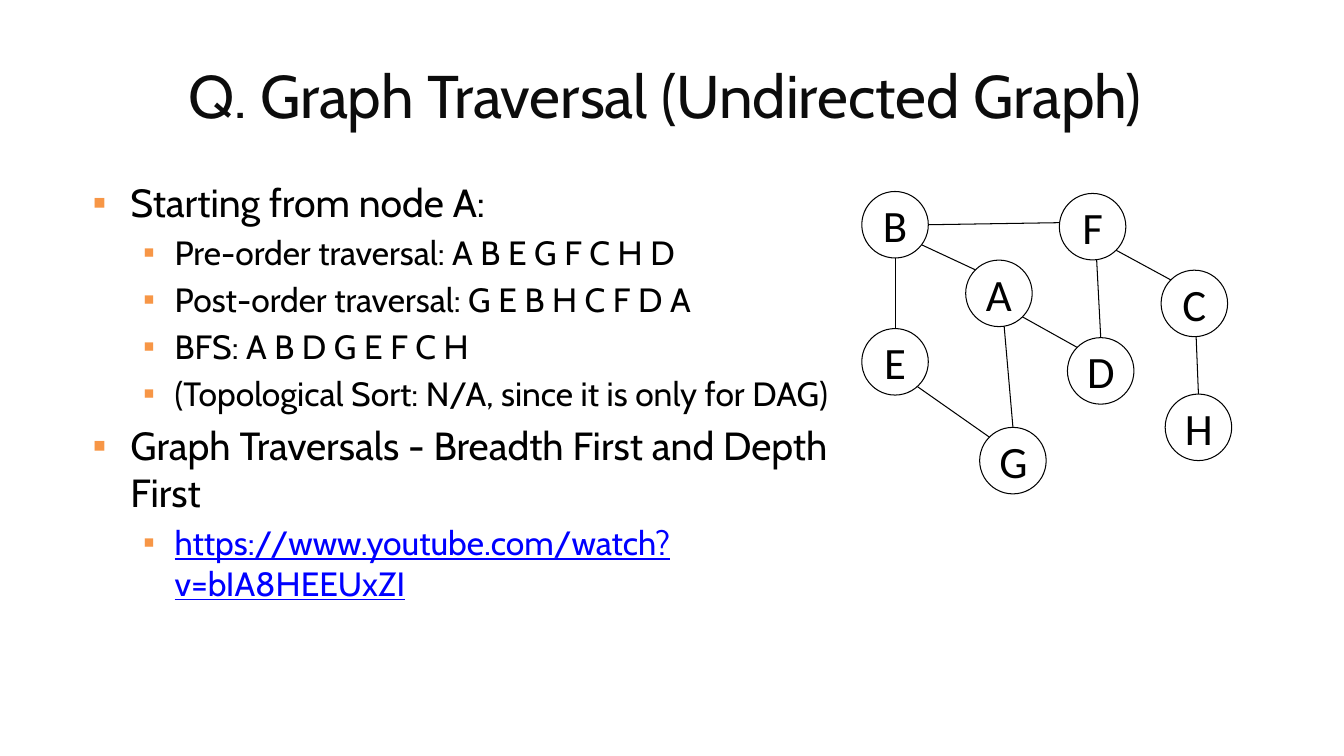
from dataclasses import dataclass
from math import cos, radians, sin

from lxml.etree import SubElement
from pptx import Presentation
from pptx.dml.color import RGBColor
from pptx.enum.shapes import MSO_CONNECTOR as Connector, MSO_SHAPE as Shape
from pptx.enum.text import MSO_ANCHOR as Anchor, MSO_AUTO_SIZE as AutoSize, PP_ALIGN as Align
from pptx.oxml.ns import qn
from pptx.util import Pt


@dataclass(frozen=True)
class Theme:
    text_font: str = "Cabin"
    node_font: str = "Calibri"
    title_color: str = "0C0C0C"
    ink: str = "000000"
    paper: str = "FFFFFF"
    bullet: str = "F79646"
    link: str = "0000FF"
    title_size: float = 43
    level_sizes: tuple = (28, 24)
    node_size: float = 32
    line_width: float = 0.75


THEME = Theme()
SPACING_RATIO = 0.2
LEVEL_INDENTS = ((27, -27), (58.5, -22.5))
NODE_DIAMETER = 47.5
NODE_INSET = 7.2

TITLE = "Q. Graph Traversal (Undirected Graph) "
LINK = "https://www.youtube.com/watch?v=bIA8HEEUxZI"
BULLETS = (
    (0, "Starting from node A:"),
    (1, "Pre-order traversal: A B E G F C H D"),
    (1, "Post-order traversal: G E B H C F D A"),
    (1, "BFS: A B D G E F C H"),
    (1, "(Topological Sort: N/A, since it is only for DAG)"),
    (0, "Graph Traversals - Breadth First and Depth First"),
    (1, LINK),
)
NODES = {
    "A": (689.8, 185.8),
    "B": (615.6, 136.8),
    "C": (829.4, 193),
    "D": (762.5, 241.2),
    "E": (615.6, 234.7),
    "F": (756.7, 138.2),
    "G": (699.8, 305.3),
    "H": (832.3, 281.5),
}
EDGES = (
    ("F", 45, "C", 225),
    ("D", 225, "A", 45),
    ("A", 225, "B", 37),
    ("F", 187, "B", 0),
    ("E", 270, "B", 90),
    ("G", 225, "E", 48),
    ("G", 270, "A", 81),
    ("D", 270, "F", 83),
    ("H", 270, "C", 87),
)


def apply(target, values):
    for name, value in values.items():
        setattr(target, name, value)


def place(shape, left, top, width, height):
    apply(shape, {"left": Pt(left), "top": Pt(top), "width": Pt(width), "height": Pt(height)})


def add_run(paragraph, text, font, size, color, underline=False):
    run = paragraph.add_run()
    run.text = text
    apply(run.font, {"name": font, "size": Pt(size), "underline": underline})
    run.font.color.rgb = RGBColor.from_string(color)


def add_bullet(paragraph, level):
    margin, indent = LEVEL_INDENTS[level]
    properties = paragraph._p.get_or_add_pPr()
    properties.set("marL", str(Pt(margin)))
    properties.set("indent", str(Pt(indent)))
    color = SubElement(properties, qn("a:buClr"))
    SubElement(color, qn("a:srgbClr"), val=THEME.bullet)
    SubElement(properties, qn("a:buChar"), char="▪")


def fill_title(shape):
    place(shape, 99.4, 37.4, 761, 60.5)
    apply(shape.text_frame, {
        "auto_size": AutoSize.NONE, "word_wrap": True, "vertical_anchor": Anchor.MIDDLE,
    })
    paragraph = shape.text_frame.paragraphs[0]
    paragraph.alignment = Align.CENTER
    add_run(paragraph, TITLE, THEME.text_font, THEME.title_size, THEME.title_color)


def fill_body(shape):
    place(shape, 59, 123.8, 551.5, 411.8)
    frame = shape.text_frame
    apply(frame, {
        "auto_size": AutoSize.NONE, "word_wrap": True, "vertical_anchor": Anchor.TOP,
    })
    for index, (level, text) in enumerate(BULLETS):
        paragraph = frame.add_paragraph() if index else frame.paragraphs[0]
        size = THEME.level_sizes[level]
        add_bullet(paragraph, level)
        apply(paragraph, {
            "level": level,
            "alignment": Align.LEFT,
            "space_before": Pt(size * SPACING_RATIO if index else 0),
        })
        is_link = text == LINK
        color = THEME.link if is_link else THEME.ink
        add_run(paragraph, text, THEME.text_font, size, color, is_link)


def rim_point(node, angle):
    left, top = NODES[node]
    radius = NODE_DIAMETER / 2
    turn = radians(angle)
    return Pt(left + radius * (1 + cos(turn))), Pt(top + radius * (1 + sin(turn)))


def format_line(line):
    line.color.rgb = RGBColor.from_string(THEME.ink)
    line.width = Pt(THEME.line_width)


def add_edge(slide, start, start_angle, end, end_angle):
    edge = slide.shapes.add_connector(
        Connector.STRAIGHT, *rim_point(start, start_angle), *rim_point(end, end_angle))
    format_line(edge.line)
    SubElement(edge._element.spPr, qn("a:effectLst"))


def add_node(slide, name, left, top):
    node = slide.shapes.add_shape(
        Shape.OVAL, Pt(left), Pt(top), Pt(NODE_DIAMETER), Pt(NODE_DIAMETER))
    node.shadow.inherit = False
    node.fill.solid()
    node.fill.fore_color.rgb = RGBColor.from_string(THEME.paper)
    format_line(node.line)
    sides = ("left", "top", "right", "bottom")
    apply(node.text_frame, {f"margin_{side}": Pt(NODE_INSET) for side in sides})
    apply(node.text_frame, {"word_wrap": True, "vertical_anchor": Anchor.MIDDLE})
    paragraph = node.text_frame.paragraphs[0]
    paragraph.alignment = Align.CENTER
    add_run(paragraph, name, THEME.node_font, THEME.node_size, THEME.ink)


def main():
    presentation = Presentation()
    apply(presentation, {"slide_width": Pt(960), "slide_height": Pt(540)})
    slide = presentation.slides.add_slide(presentation.slide_layouts[1])
    fill_title(slide.shapes.title)
    fill_body(slide.placeholders[1])
    for edge in EDGES:
        add_edge(slide, *edge)
    for name, (left, top) in NODES.items():
        add_node(slide, name, left, top)
    presentation.save("out.pptx")


if __name__ == "__main__":
    main()
